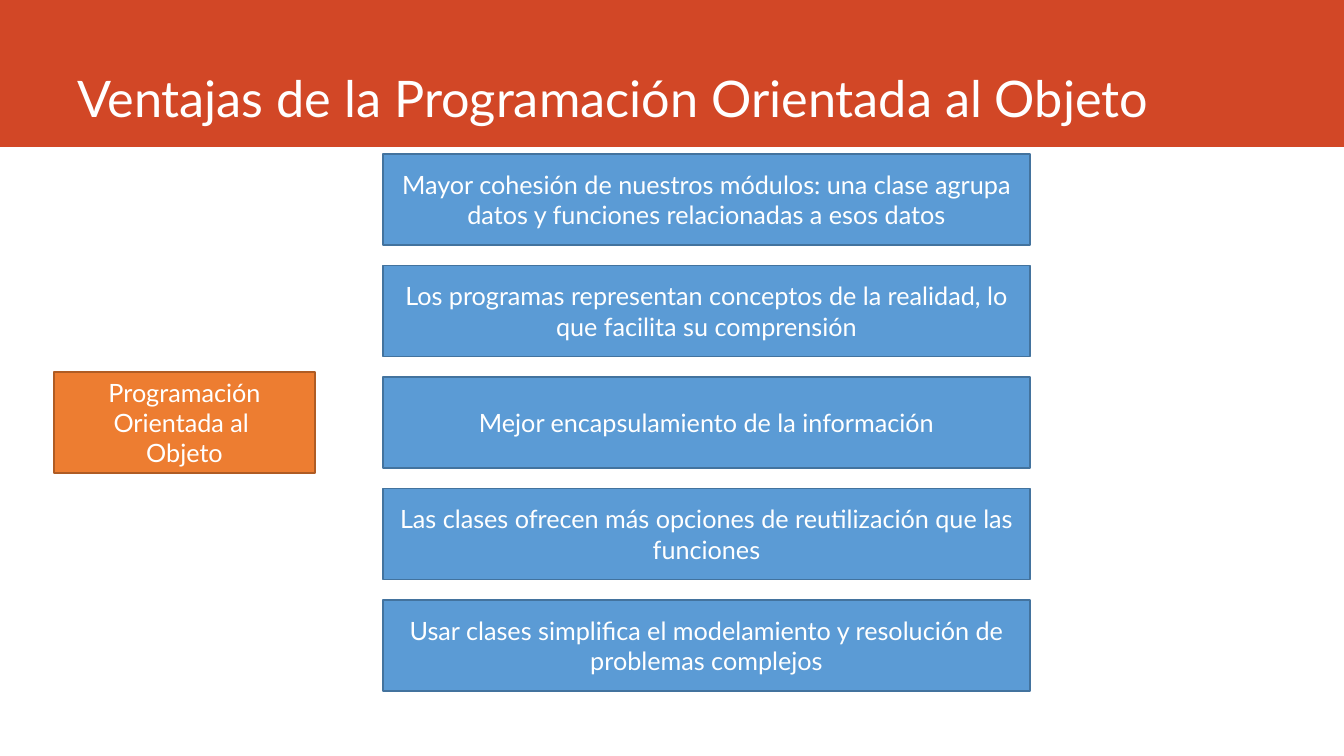
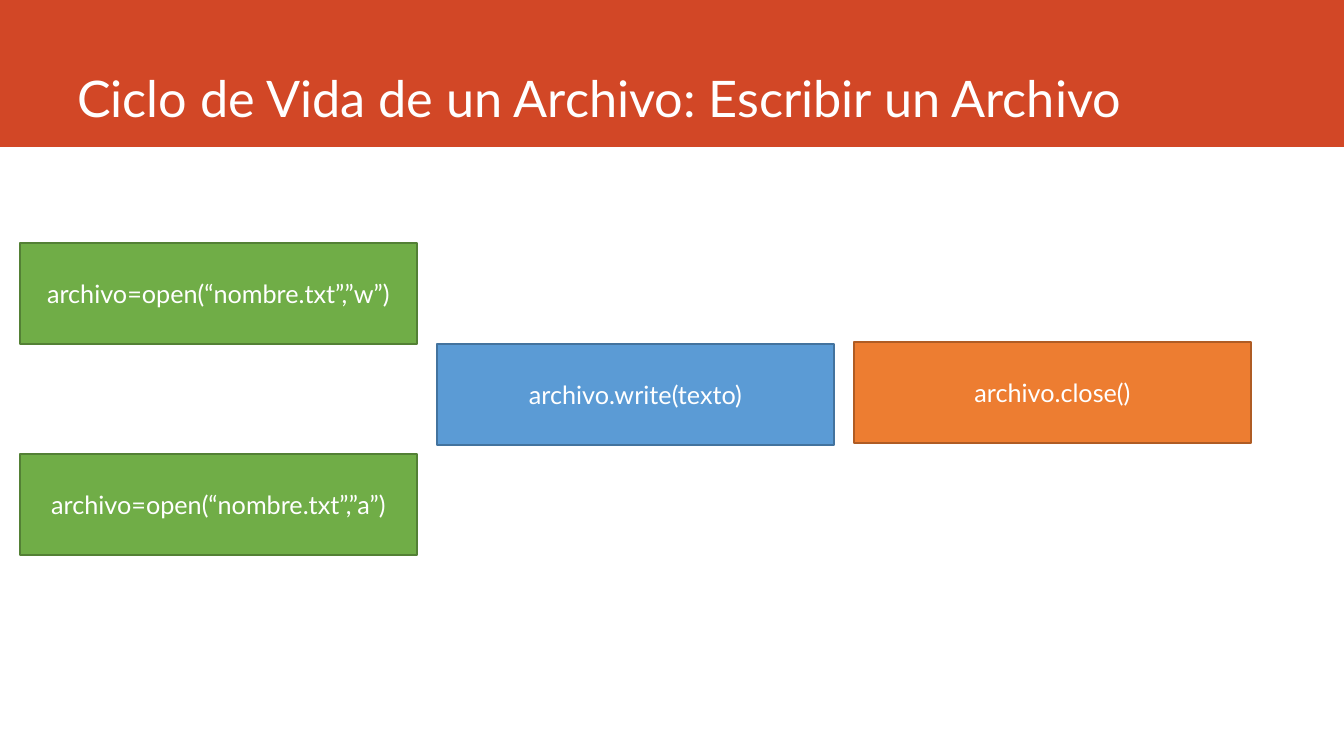
from pptx import Presentation
from pptx.dml.color import RGBColor
from pptx.enum.shapes import MSO_SHAPE
from pptx.enum.text import MSO_ANCHOR, MSO_AUTO_SIZE, PP_ALIGN
from pptx.util import Emu, Pt

RECTANGLE = MSO_SHAPE.RECTANGLE
LEFT, CENTER = PP_ALIGN.LEFT, PP_ALIGN.CENTER
MIDDLE, BOTTOM = MSO_ANCHOR.MIDDLE, MSO_ANCHOR.BOTTOM

WHITE = RGBColor(0xFF, 0xFF, 0xFF)
BAND_RED = RGBColor(0xD2, 0x47, 0x26)
# Each box style is (fill, outline)
ORANGE = RGBColor(0xED, 0x7D, 0x31), RGBColor(0xAF, 0x5C, 0x24)
BLUE = RGBColor(0x5B, 0x9B, 0xD5), RGBColor(0x43, 0x73, 0x9E)
GREEN = RGBColor(0x70, 0xAD, 0x47), RGBColor(0x53, 0x80, 0x35)

FONT = "Lato"
TITLE_SIZE, BOX_SIZE = 36, 18
EMU_PER_PX = 914400 / 100.8
SLIDE_WIDTH, SLIDE_HEIGHT = 1344, 756
BAND_HEIGHT = 147
TITLE_AREA = (67, 0, 1185, 133)

ADVANTAGES_TITLE = "Ventajas de la Programación Orientada al Objeto"
TOPIC = ["Programación", "Orientada al ", "Objeto"]
TOPIC_AREA = (54, 372, 261, 101)
ADVANTAGES = [
    "Mayor cohesión de nuestros módulos: una clase agrupa datos y funciones relacionadas a esos datos",
    "Los programas representan conceptos de la realidad, lo que facilita su comprensión",
    "Mejor encapsulamiento de la información",
    "Las clases ofrecen más opciones de reutilización que las funciones",
    "Usar clases simplifica el modelamiento y resolución de problemas complejos",
]
ADVANTAGE_LEFT, ADVANTAGE_WIDTH, ADVANTAGE_HEIGHT = 383, 647, 91
FIRST_ADVANTAGE_TOP, LAST_ADVANTAGE_TOP = 154, 600

LIFE_CYCLE_TITLE = "Ciclo de Vida de un Archivo: Escribir un Archivo"
# (column, top, code, style)
STEPS = [
    (0, 243, "archivo=open(“nombre.txt”,”w”)", GREEN),
    (1, 344, "archivo.write(texto)", BLUE),
    (2, 342, "archivo.close()", ORANGE),
    (0, 454, "archivo=open(“nombre.txt”,”a”)", GREEN),
]
STEP_LEFT, STEP_PITCH, STEP_WIDTH, STEP_HEIGHT = 20, 417, 397, 101


def px(length):
    return Emu(round(length * EMU_PER_PX))


def write_lines(frame, lines, size, alignment):
    for index, line in enumerate(lines):
        paragraph = frame.add_paragraph() if index else frame.paragraphs[0]
        paragraph.alignment = alignment
        run = paragraph.add_run()
        run.text = line
        run.font.name = FONT
        run.font.size = Pt(size)
        run.font.color.rgb = WHITE


def add_rectangle(slide, area, fill):
    rectangle = slide.shapes.add_shape(RECTANGLE, *map(px, area))
    rectangle.shadow.inherit = False
    rectangle.fill.solid()
    rectangle.fill.fore_color.rgb = fill
    rectangle.line.fill.background()
    return rectangle


def add_box(slide, area, lines, style):
    fill, outline = style
    box = add_rectangle(slide, area, fill)
    box.line.color.rgb = outline
    box.line.width = Pt(1)
    box.text_frame.word_wrap = True
    box.text_frame.vertical_anchor = MIDDLE
    write_lines(box.text_frame, lines, BOX_SIZE, CENTER)


def prepare_layout(layout):
    """Place the title area that every slide inherits."""
    title = layout.placeholders[0]
    title.left, title.top, title.width, title.height = map(px, TITLE_AREA)
    title.text_frame.vertical_anchor = BOTTOM
    title.text_frame.auto_size = MSO_AUTO_SIZE.NONE


def add_titled_slide(deck, layout, title):
    slide = deck.slides.add_slide(layout)
    write_lines(slide.shapes.title.text_frame, [title], TITLE_SIZE, LEFT)
    band = add_rectangle(slide, (0, 0, SLIDE_WIDTH, BAND_HEIGHT), BAND_RED)
    # The band goes behind the title
    slide.shapes.title.element.addprevious(band.element)
    return slide


def build_advantages(deck, layout):
    slide = add_titled_slide(deck, layout, ADVANTAGES_TITLE)
    add_box(slide, TOPIC_AREA, TOPIC, ORANGE)
    pitch = (LAST_ADVANTAGE_TOP - FIRST_ADVANTAGE_TOP) / (len(ADVANTAGES) - 1)
    for row, advantage in enumerate(ADVANTAGES):
        top = FIRST_ADVANTAGE_TOP + row * pitch
        area = (ADVANTAGE_LEFT, top, ADVANTAGE_WIDTH, ADVANTAGE_HEIGHT)
        add_box(slide, area, [advantage], BLUE)


def build_life_cycle(deck, layout):
    slide = add_titled_slide(deck, layout, LIFE_CYCLE_TITLE)
    for column, top, code, style in STEPS:
        left = STEP_LEFT + column * STEP_PITCH
        add_box(slide, (left, top, STEP_WIDTH, STEP_HEIGHT), [code], style)


def main():
    deck = Presentation()
    deck.slide_width, deck.slide_height = px(SLIDE_WIDTH), px(SLIDE_HEIGHT)
    layout = deck.slide_layouts.get_by_name("Title Only")
    prepare_layout(layout)
    build_advantages(deck, layout)
    build_life_cycle(deck, layout)
    deck.save("out.pptx")


if __name__ == "__main__":
    main()
